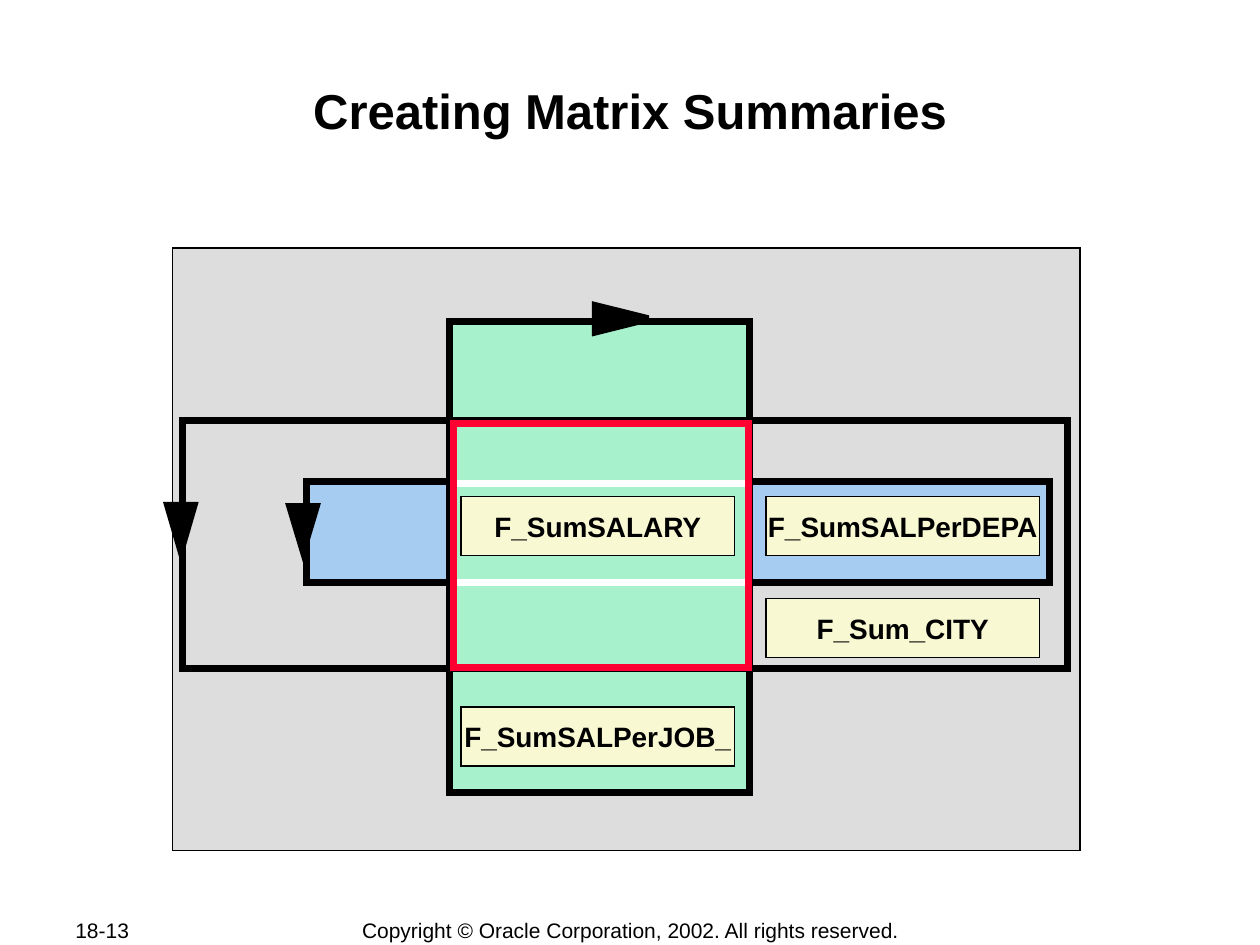
from lxml import etree
from pptx import Presentation
from pptx import util as u
from pptx.dml.color import RGBColor
from pptx.enum import shapes, text
from pptx.oxml import ns

BLACK, GREY, BLUE, GREEN = "000000", "DDDDDD", "A7CCF1", "A7F1CC"
CREAM, WHITE, RED = "F8F8D3", "FFFFFF", "FF0033"
RECT = shapes.MSO_SHAPE.RECTANGLE
ARROW = shapes.MSO_SHAPE.ISOSCELES_TRIANGLE
LEFT, MID = text.PP_ALIGN.LEFT, text.PP_ALIGN.CENTER
TOP, HALF = text.MSO_ANCHOR.TOP, text.MSO_ANCHOR.MIDDLE


def tint(code):
    return RGBColor.from_string(code)


def apply(item, form):
    for key, value in form.items():
        setattr(item, key, value)


class Painter:
    """Hold the text style and current slide, and draw each kind of element."""

    def __init__(self, slide, font):
        self.slide = slide
        self.font = font

    def shape(self, box, fill=None, line=BLACK, width=4, kind=RECT, turn=0):
        item = self.slide.shapes.add_shape(kind, *map(u.Inches, box))
        item.shadow.inherit = False
        item.rotation = turn
        if fill:
            item.fill.solid()
            item.fill.fore_color.rgb = tint(fill)
        else:
            item.fill.background()
        item.line.color.rgb = tint(line)
        item.line.width = u.Pt(width)
        edge = item.element.spPr.find(ns.qn("a:ln"))
        etree.SubElement(edge, ns.qn("a:miter"), lim="800000")
        return item

    def letter(self, item, words, size, bold=False, align=MID, anchor=HALF,
               wrap=True, side=0.1, top=0.05, base=0.05):
        frame = item.text_frame
        apply(frame, {
            "margin_left": u.Inches(side), "margin_right": u.Inches(side),
            "margin_top": u.Inches(top), "margin_bottom": u.Inches(base),
            "vertical_anchor": anchor, "word_wrap": wrap,
        })
        para = frame.paragraphs[0]
        para.alignment = align
        run = para.add_run()
        run.text = words
        apply(run.font, {"name": self.font, "size": u.Pt(size), "bold": bold})
        run.font.color.rgb = tint(BLACK)

    def label(self, box, words, size, **form):
        item = self.slide.shapes.add_textbox(*map(u.Inches, box))
        self.letter(item, words, size, **form)

    def field(self, left, top, words):
        item = self.shape((left, top, 2.17, 0.47), CREAM, width=1)
        self.letter(item, words, 16, bold=True, wrap=False)

    def arrow(self, box, turn):
        self.shape(box, BLACK, kind=ARROW, turn=turn)


def main():
    deck = Presentation()
    apply(deck, {"slide_width": u.Inches(10), "slide_height": u.Inches(7.5)})
    art = Painter(deck.slides.add_slide(deck.slide_layouts[6]), "Arial")

    art.label((0.5, 7.28, 1.06, 0.2), "18-13", 12, align=LEFT)
    art.label((2.76, 7.28, 4.49, 0.21),
              "Copyright © Oracle Corporation, 2002. All rights reserved.", 12)
    art.label((1, 0.58, 8, 0.96), "Creating Matrix Summaries", 28, bold=True,
              anchor=TOP, side=0.01, top=0.06, base=0.01)

    art.shape((1.37, 1.97, 7.2, 4.78), GREY, width=1)
    art.shape((2.43, 3.82, 5.9, 0.8), BLUE)
    art.shape((3.57, 2.55, 2.38, 3.74), GREEN)
    art.shape((3.6, 3.84, 2.34, 0.78), line=WHITE)

    art.arrow((2.3, 4.02, 0.21, 0.35), 180)
    art.arrow((4.83, 2.32, 0.21, 0.42), 90)
    art.arrow((1.33, 4.01, 0.21, 0.36), 180)

    art.shape((1.45, 3.34, 7.02, 1.97))
    art.shape((3.6, 3.36, 2.34, 1.94), line=RED)

    inner, outer = 3.66, 6.08
    for left, top, words in (
        (inner, 3.94, "F_SumSALARY"),
        (outer, 3.94, "F_SumSALPerDEPA"),
        (inner, 5.61, "F_SumSALPerJOB_"),
        (outer, 4.75, "F_Sum_CITY"),
    ):
        art.field(left, top, words)

    deck.save("out.pptx")


if __name__ == "__main__":
    main()
